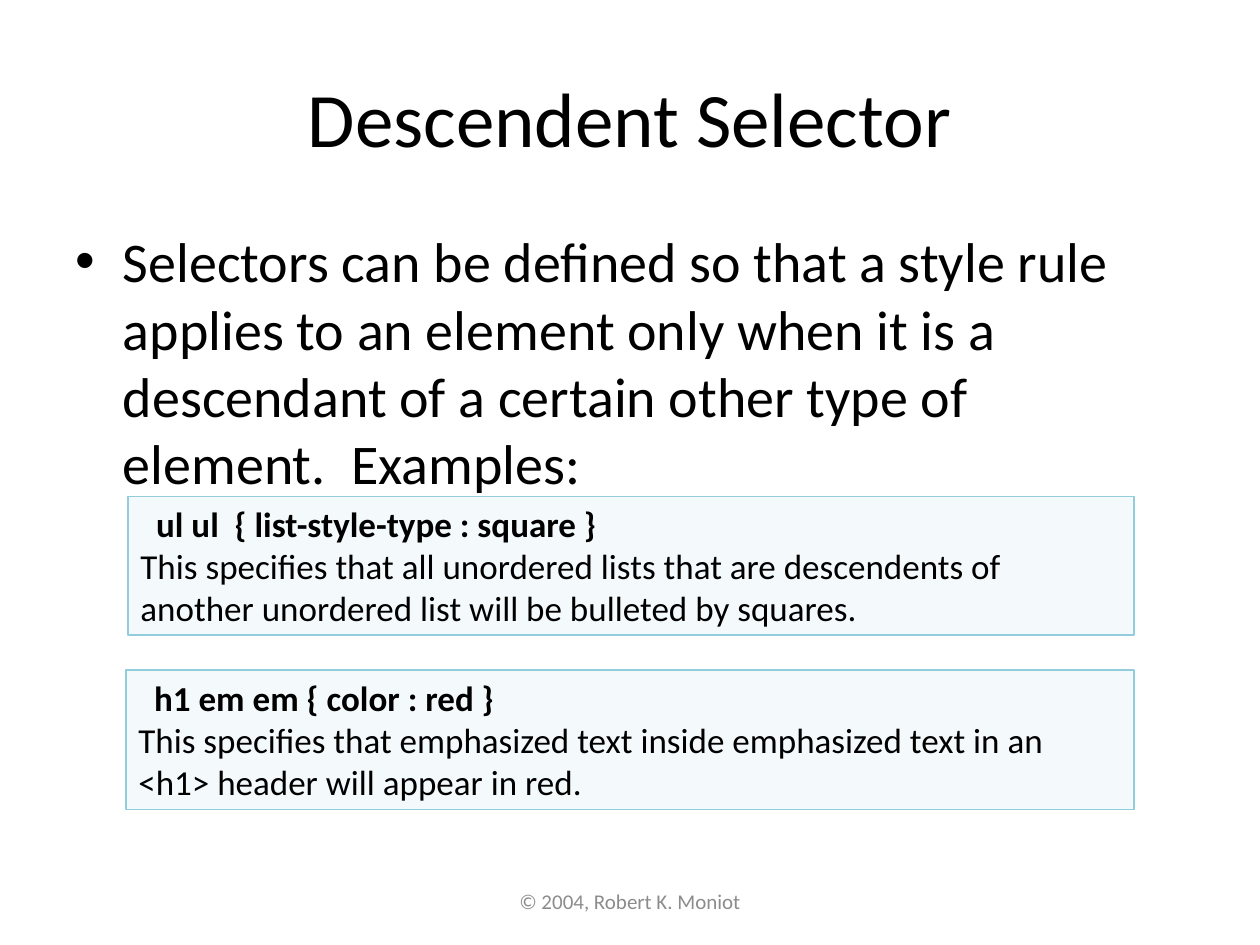
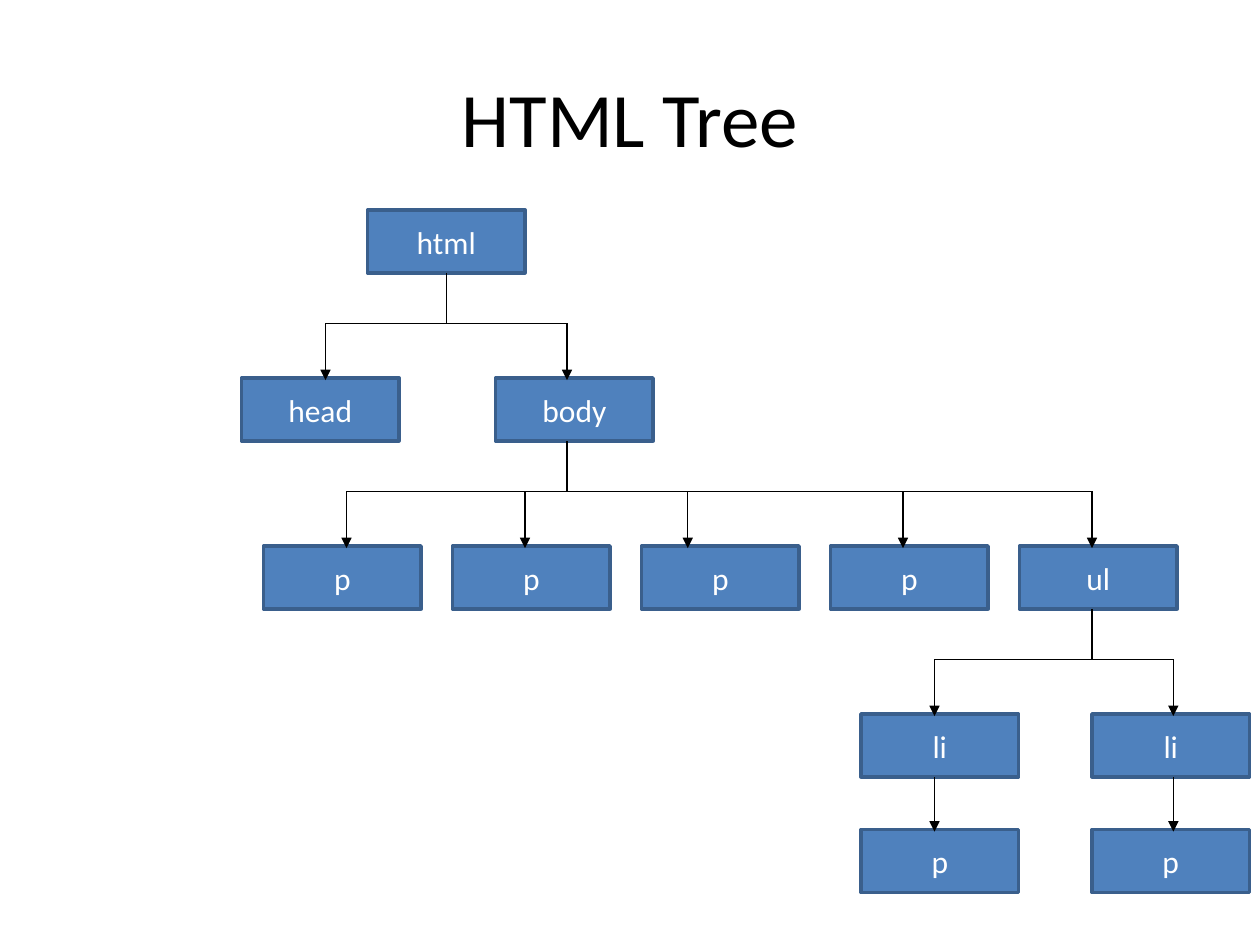
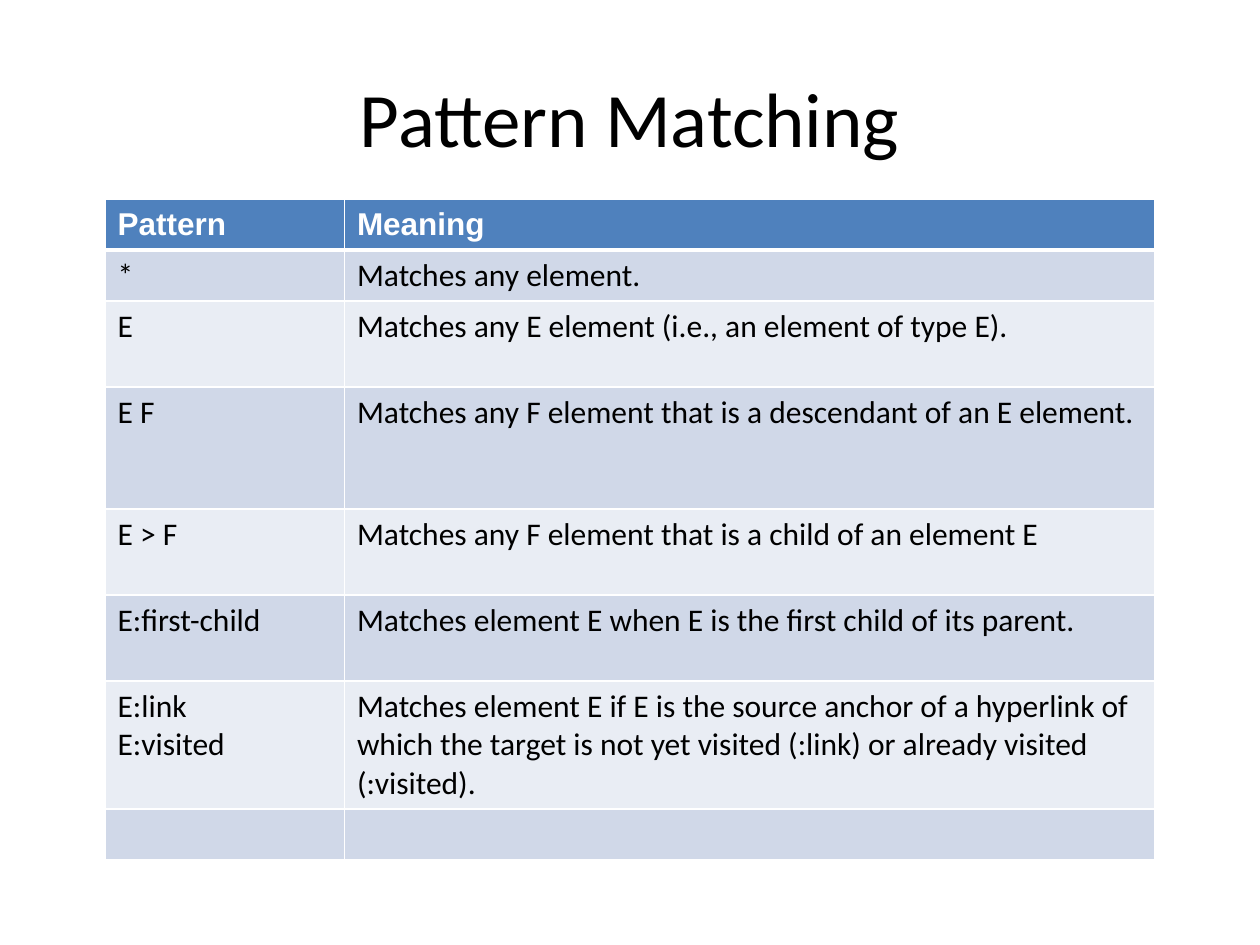
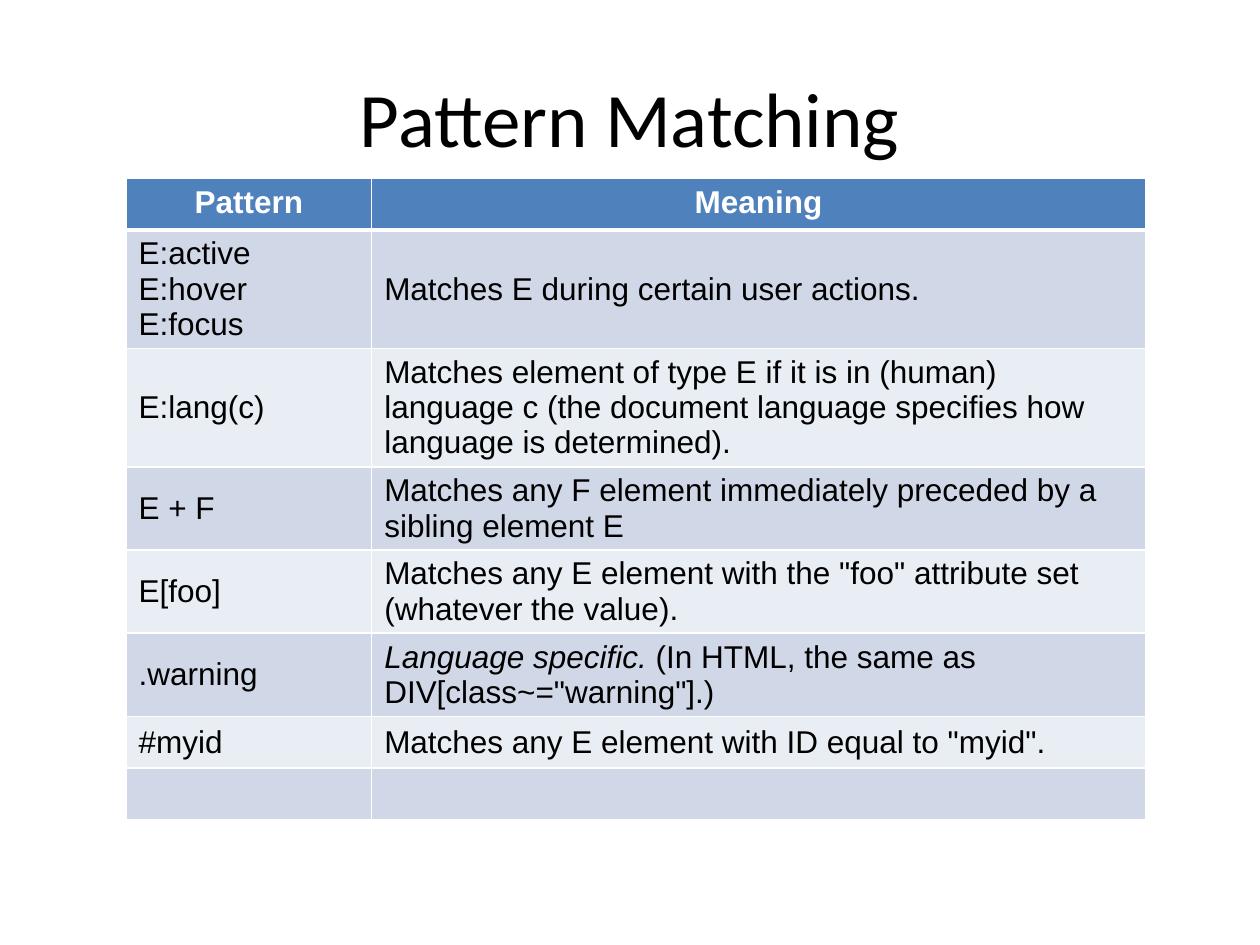
from lxml import etree
from pptx import Presentation, util as u
from pptx.dml.color import RGBColor
from pptx.enum import shapes, text
from pptx.oxml import ns

UNIT = u.Inches(1) / 12  # the slide is a grid of 120 columns by 90 rows
COLS, ROWS = 120, 90
BLACK, WHITE, GREY = "000000", "FFFFFF", "8C8C8C"
BLUE, DARK_BLUE = "4F81BD", "3A5F8C"
PALE, PALE_EDGE = "B7DEE8", "93CDDD"
BANDS = ("D0D8E8", "E9EDF4")
CENTER, LEFT = text.PP_ALIGN.CENTER, text.PP_ALIGN.LEFT
TOP, MIDDLE = text.MSO_ANCHOR.TOP, text.MSO_ANCHOR.MIDDLE
TITLE_ONLY, TITLE_AND_BODY = 5, 1
NODE_W, NODE_H = 15, 6


def grid(*cells):
    """Turn grid units into lengths."""
    return [u.Emu(round(c * UNIT)) for c in cells]


def rgb(value):
    """Turn a hex string into a colour."""
    return RGBColor.from_string(value)


def add_xml(parent, tag, **attrs):
    """Append a DrawingML element and return it."""
    return etree.SubElement(parent, ns.qn(tag), attrs)


def write(tf, paras, size=18, font="Calibri", color=BLACK, bold=False,
          align=None, anchor=None, first_indent=0):
    """Write paragraphs of runs; a run is a string or (string, italic)."""
    tf.word_wrap = True
    if anchor is not None:
        tf.vertical_anchor = anchor
    for i, runs in enumerate(paras):
        p = tf.add_paragraph() if i else tf.paragraphs[0]
        if align is not None:
            p.alignment = align
        if first_indent and i == 0:
            p._p.get_or_add_pPr().set("indent", str(grid(first_indent)[0]))
        for run in [runs] if isinstance(runs, str) else runs:
            words, italic = run if isinstance(run, tuple) else (run, False)
            for n, line in enumerate(words.split("\v")):
                if n:
                    p.add_line_break()
                r = p.add_run()
                r.text = line
                r.font.size, r.font.name = u.Pt(size), font
                r.font.bold, r.font.italic = bold, italic
                r.font.color.rgb = rgb(color)


def place(sp, *cells):
    """Move a shape to left, top, width, height in grid units."""
    sp.left, sp.top, sp.width, sp.height = grid(*cells)


def new_slide(prs, title, layout=TITLE_ONLY):
    """Add a slide with the shared title style."""
    s = prs.slides.add_slide(prs.slide_layouts[layout])
    place(s.shapes.title, 6, 3.6, 108, 15)
    write(s.shapes.title.text_frame, [title], size=44, align=CENTER, anchor=MIDDLE)
    return s


def add_body(s, paras):
    """Fill the bullet placeholder."""
    sp = s.placeholders[1]
    place(sp, 6, 21, 108, 59.4)
    write(sp.text_frame, paras, size=32)


def add_footer(s, words):
    """Add the centred footer line."""
    sp = s.shapes.add_textbox(*grid(41, 83.4, 38, 4.8))
    write(sp.text_frame, [words], size=12, color=GREY, align=CENTER, anchor=MIDDLE)


def add_box(s, cells, fill, edge, width):
    """Add a flat rectangle with an outline."""
    sp = s.shapes.add_shape(shapes.MSO_SHAPE.RECTANGLE, *grid(*cells))
    sp.shadow.inherit = False
    sp.fill.solid()
    sp.fill.fore_color.rgb = rgb(fill)
    sp.line.color.rgb = rgb(edge)
    sp.line.width = u.Pt(width)
    return sp


def add_example(s, cells, rule, meaning):
    """Add a translucent box with a bold style rule and its meaning."""
    sp = add_box(s, cells, PALE, PALE_EDGE, 1)
    color = sp._element.spPr.find(ns.qn("a:solidFill"))[0]
    add_xml(color, "a:alpha", val="15000")
    tf = sp.text_frame
    write(tf, [rule, meaning], size=20, align=LEFT, anchor=TOP, first_indent=1.5)
    for r in tf.paragraphs[0].runs:
        r.font.bold = True
    tf.auto_size = text.MSO_AUTO_SIZE.SHAPE_TO_FIT_TEXT


def add_node(s, label, col, row):
    """Add one element of the tree."""
    sp = add_box(s, (col, row, NODE_W, NODE_H), BLUE, DARK_BLUE, 2)
    write(sp.text_frame, [label], color=WHITE, align=CENTER, anchor=MIDDLE)


def add_line(s, x1, y1, x2, y2, arrow=False):
    """Add a thin black line, with an arrowhead at its end if asked."""
    c = s.shapes.add_connector(shapes.MSO_CONNECTOR.STRAIGHT, *grid(x1, y1, x2, y2))
    c.line.color.rgb = rgb(BLACK)
    c.line.width = u.Pt(0.75)
    if arrow:
        add_xml(c.line._get_or_add_ln(), "a:tailEnd", type="triangle")
    add_xml(c._element.spPr, "a:effectLst")


def add_branch(s, stem, drops, row):
    """Join a parent's stem to arrows that drop to the children's row."""
    bus, parent_row = row - 5.2, row - 16
    add_line(s, stem, parent_row + NODE_H, stem, bus)
    add_line(s, drops[0], bus, drops[-1], bus)
    for x in drops:
        add_line(s, x, bus, x, row + 0.2, arrow=True)


def style_cell(cell, fill, bottom=1):
    """Give a cell white borders and a plain fill."""
    tcPr = cell._tc.get_or_add_tcPr()
    for side in "LRTB":
        width = u.Pt(bottom if side == "B" else 1)
        ln = add_xml(tcPr, "a:ln" + side, w=str(width))
        add_xml(add_xml(ln, "a:solidFill"), "a:srgbClr", val=WHITE)
    cell.fill.solid()
    cell.fill.fore_color.rgb = rgb(fill)


def add_patterns(s, left, top, widths, heights, rows, head, body):
    """Add a banded table of patterns; head and body hold text formats."""
    rows = [(["Pattern"], ["Meaning"])] + rows + [([], [])]
    frame = s.shapes.add_table(len(rows), len(widths),
                               *grid(left, top, sum(widths), sum(heights)))
    table = frame.table
    for column, width in zip(table.columns, grid(*widths)):
        column.width = width
    for row, height in zip(table.rows, grid(*heights)):
        row.height = height
    for i, row in enumerate(rows):
        for j, paras in enumerate(row):
            cell = table.cell(i, j)
            if i == 0:
                style_cell(cell, BLUE, bottom=3)
                fmt = dict(head, font="Arial", color=WHITE, bold=True)
            else:
                style_cell(cell, BANDS[(i - 1) % 2])
                fmt = dict(body)
            cell.vertical_anchor = fmt.pop("anchor")
            write(cell.text_frame, paras, **fmt)


def selector_slide(prs):
    """Explain the selector with two examples."""
    s = new_slide(prs, "Descendent Selector", TITLE_AND_BODY)
    add_footer(s, "© 2004, Robert K. Moniot")
    add_body(s, ["Selectors can be defined so that a style rule applies to an element "
                 "only when it is a descendant of a certain other type of element.  "
                 "Examples:"])
    add_example(s, (12.2, 47.3, 95.8, 13.2), "ul ul  { list-style-type : square }",
                "This specifies that all unordered lists that are descendents of "
                "another unordered list will be bulleted by squares.")
    add_example(s, (12, 63.8, 96, 13.3), "h1 em em { color : red }",
                "This specifies that emphasized text inside emphasized text in an "
                "<h1> header will appear in red.")


def tree_slide(prs):
    """Draw the document tree, level by level."""
    s = new_slide(prs, "HTML Tree")
    root, second, third, fourth = (20 + 16 * i for i in range(4))
    leaf = 79
    add_node(s, "html", 35, root)
    add_node(s, "head", 23, second)
    add_node(s, "body", 47.2, second)
    for i, label in enumerate(["p", "p", "p", "p", "ul"]):
        add_node(s, label, 25.1 + 18 * i, third)
    items = ((82, 89), (104, 111.75))
    for col, arrow_x in items:
        add_node(s, "li", col, fourth)
        add_node(s, "p", col, leaf)
        add_line(s, arrow_x, fourth + NODE_H, arrow_x, leaf + 0.2, arrow=True)
    add_branch(s, 42.5, (31, 54), second)
    add_branch(s, 54, (33, 50, 65.5, 86, 104), third)
    add_branch(s, 104, [x for _, x in items], fourth)


def basic_patterns_slide(prs):
    """List the basic patterns."""
    s = new_slide(prs, "Pattern Matching")
    rows = [
        (["*"], ["Matches any element."]),
        (["E"], ["Matches any E element (i.e., an element of type E)."]),
        (["E F"], ["Matches any F element that is a descendant of an E element."]),
        (["E > F"], ["Matches any F element that is a child of an element E"]),
        (["E:first-child"],
         ["Matches element E when E is the first child of its parent."]),
        (["E:link", "E:visited"],
         ["Matches element E if E is the source anchor of a hyperlink of which the "
          "target is not yet visited (:link) or already visited (:visited)."]),
    ]
    add_patterns(s, 10, 19, (22.8, 77.2), (4.8, 4.8, 8.2, 11.6, 8.2, 8.2, 12.1, 4.8),
                 rows, head=dict(anchor=MIDDLE), body=dict(anchor=TOP))


def more_patterns_slide(prs):
    """List the remaining patterns."""
    s = new_slide(prs, "Pattern Matching")
    rows = [
        (["E:active\vE:hover\vE:focus"], ["Matches E during certain user actions."]),
        (["E:lang(c)"],
         ["Matches element of type E if it is in (human) language c (the document "
          "language specifies how language is determined)."]),
        (["E + F"],
         ["Matches any F element immediately preceded by a sibling element E"]),
        (["E[foo]"],
         ['Matches any E element with the "foo" attribute set (whatever the value).']),
        ([".warning"],
         [[("Language specific.", True),
           '\u00a0(In HTML, the same as DIV[class~="warning"].)']]),
        (["#myid"], ['Matches any E element with ID equal to "myid".']),
    ]
    add_patterns(s, 12, 17, (23.4, 73.7), (4.9, 11.2, 11.2, 7.9, 7.9, 7.9, 4.9, 4.9),
                 rows, head=dict(anchor=TOP, align=CENTER),
                 body=dict(anchor=MIDDLE, font="Arial"))


def main():
    """Build the slides and save them."""
    prs = Presentation()
    prs.slide_width, prs.slide_height = grid(COLS, ROWS)
    selector_slide(prs)
    tree_slide(prs)
    basic_patterns_slide(prs)
    more_patterns_slide(prs)
    prs.save("out.pptx")


main()
